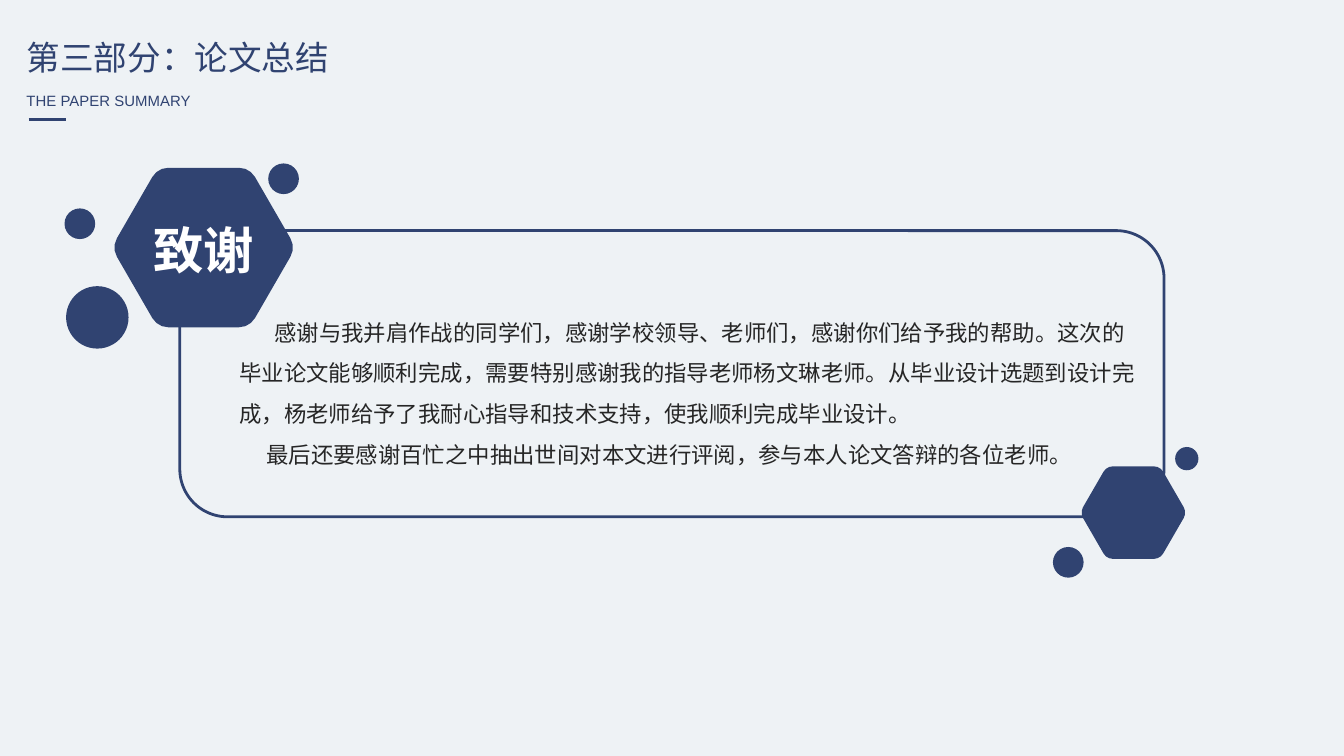
from math import cos, pi, sin

from lxml.etree import SubElement
from pptx import Presentation
from pptx.dml.color import RGBColor
from pptx.enum.shapes import MSO_CONNECTOR, MSO_SHAPE
from pptx.enum.text import MSO_ANCHOR, MSO_AUTO_SIZE, PP_ALIGN
from pptx.oxml.ns import qn
from pptx.util import Cm, Pt

NAVY = RGBColor(0x30, 0x43, 0x71)
CHARCOAL = RGBColor(0x26, 0x26, 0x26)
WHITE = RGBColor(0xFF, 0xFF, 0xFF)
PALE = RGBColor(0xEE, 0xF2, 0xF5)
CJK_FONT = "Noto Sans CJK SC"

HEADING = {"size": Pt(18), "name": CJK_FONT, "bold": False}
CAPTION = {"size": Pt(8), "name": "Arial", "bold": False}
BODY = {"size": Pt(12), "name": CJK_FONT, "bold": False}
BADGE = {"size": Pt(27), "name": "Arial Narrow", "bold": True}
LEFT = {"alignment": PP_ALIGN.LEFT, "space_before": Pt(0)}
CENTER = {"alignment": PP_ALIGN.CENTER}
PROSE = {**LEFT, "line_spacing": 1.5}

DOTS = [
    (1.25, 5.41, 1.18),
    (1.22, 3.94, 0.58),
    (5.07, 3.09, 0.58),
    (19.9, 10.34, 0.58),
    (22.21, 8.45, 0.44),
]
THANKS = "感谢与我并肩作战的同学们，感谢学校领导、老师们，感谢你们给予我的帮助。这次的毕业论文能够顺利完成，需要特别感谢我的指导老师杨文琳老师。从毕业设计选题到设计完成，杨老师给予了我耐心指导和技术支持，使我顺利完成毕业设计。"
CLOSING = "最后还要感谢百忙之中抽出世间对本文进行评阅，参与本人论文答辩的各位老师。"


def apply(target, values):
    for key, value in values.items():
        setattr(target, key, value)


def place(holder, left, top, width, height):
    apply(holder, {"left": Cm(left), "top": Cm(top), "width": Cm(width), "height": Cm(height)})


def write(holder, text, font, color, paragraph_format, wrap=True, anchor=MSO_ANCHOR.TOP):
    frame = holder.text_frame
    apply(frame, {"word_wrap": wrap, "auto_size": MSO_AUTO_SIZE.NONE, "vertical_anchor": anchor})
    paragraph = frame.paragraphs[0]
    apply(paragraph, paragraph_format)
    run = paragraph.add_run()
    run.text = text
    apply(run.font, font)
    run.font.color.rgb = color
    SubElement(run.font._element, qn("a:ea"), typeface=CJK_FONT)


def write_prose(holder, text, box, indent):
    place(holder, *box)
    write(holder, text, BODY, CHARCOAL, PROSE)
    properties = holder.text_frame.paragraphs[0]._p.get_or_add_pPr()
    properties.set("marL", "0")
    properties.set("indent", str(Cm(indent)))
    SubElement(properties, qn("a:buNone"))


def paint(shape):
    shape.shadow.inherit = False
    shape.fill.solid()
    shape.fill.fore_color.rgb = NAVY
    shape.line.fill.background()


def add_dot(shapes, left, top, diameter):
    paint(shapes.add_shape(MSO_SHAPE.OVAL, Cm(left), Cm(top), Cm(diameter), Cm(diameter)))


def add_rounded_hexagon(shapes, center_x, center_y, radius, steps=3):
    corner = radius / 5
    reach = radius - corner / cos(pi / 6)
    points = []
    for side in range(6):
        middle = side * pi / 3
        for step in range(steps + 1):
            angle = middle + pi / 3 * (step / steps - 0.5)
            points.append((
                Cm(center_x + reach * cos(middle) + corner * cos(angle)),
                Cm(center_y + reach * sin(middle) + corner * sin(angle)),
            ))
    builder = shapes.build_freeform(*points[0])
    builder.add_line_segments(points[1:], close=True)
    hexagon = builder.convert_to_shape()
    paint(hexagon)
    return hexagon


def add_frame(shapes):
    frame = shapes.add_shape(MSO_SHAPE.ROUNDED_RECTANGLE, Cm(3.4), Cm(4.36), Cm(18.6), Cm(5.41))
    frame.shadow.inherit = False
    frame.fill.background()
    frame.line.color.rgb = NAVY
    frame.line.width = Pt(1.5)


def add_rule(shapes):
    rule = shapes.add_connector(MSO_CONNECTOR.STRAIGHT, Cm(0.54), Cm(2.26), Cm(1.25), Cm(2.26))
    rule.line.color.rgb = NAVY
    rule.line.width = Pt(1.5)
    SubElement(rule._element.spPr, qn("a:effectLst"))


def add_badge(shapes):
    hexagon = add_rounded_hexagon(shapes, 3.85, 4.68, 1.74)
    label = shapes.add_shape(MSO_SHAPE.RECTANGLE, Cm(2.63), Cm(4.01), Cm(2.44), Cm(1.42))
    paint(label)
    write(label, "致谢", BADGE, WHITE, CENTER, anchor=MSO_ANCHOR.MIDDLE)
    shapes.add_group_shape([hexagon, label])


def main():
    deck = Presentation()
    apply(deck, {"slide_width": Cm(25.4), "slide_height": Cm(14.29)})
    slide = deck.slides.add_slide(deck.slide_layouts.get_by_name("Two Content"))
    slide.background.fill.solid()
    slide.background.fill.fore_color.rgb = PALE
    shapes = slide.shapes
    title, thanks, closing = list(slide.placeholders)[:3]

    place(title, 0.25, 0.58, 6.27, 1.02)
    write(title, "第三部分：论文总结", HEADING, NAVY, LEFT, wrap=False)
    subtitle = shapes.add_textbox(Cm(0.25), Cm(1.6), Cm(3.66), Cm(0.61))
    write(subtitle, "THE PAPER SUMMARY", CAPTION, NAVY, LEFT, wrap=False)
    add_rule(shapes)

    add_frame(shapes)
    write_prose(thanks, THANKS, (4.27, 5.65, 17.5, 2.49), 0.66)
    write_prose(closing, CLOSING, (3.84, 7.95, 17.63, 0.94), 0.94)

    for dot in DOTS:
        add_dot(shapes, *dot)
    add_rounded_hexagon(shapes, 21.42, 9.69, 1.01)
    add_badge(shapes)

    deck.save("out.pptx")


if __name__ == "__main__":
    main()
